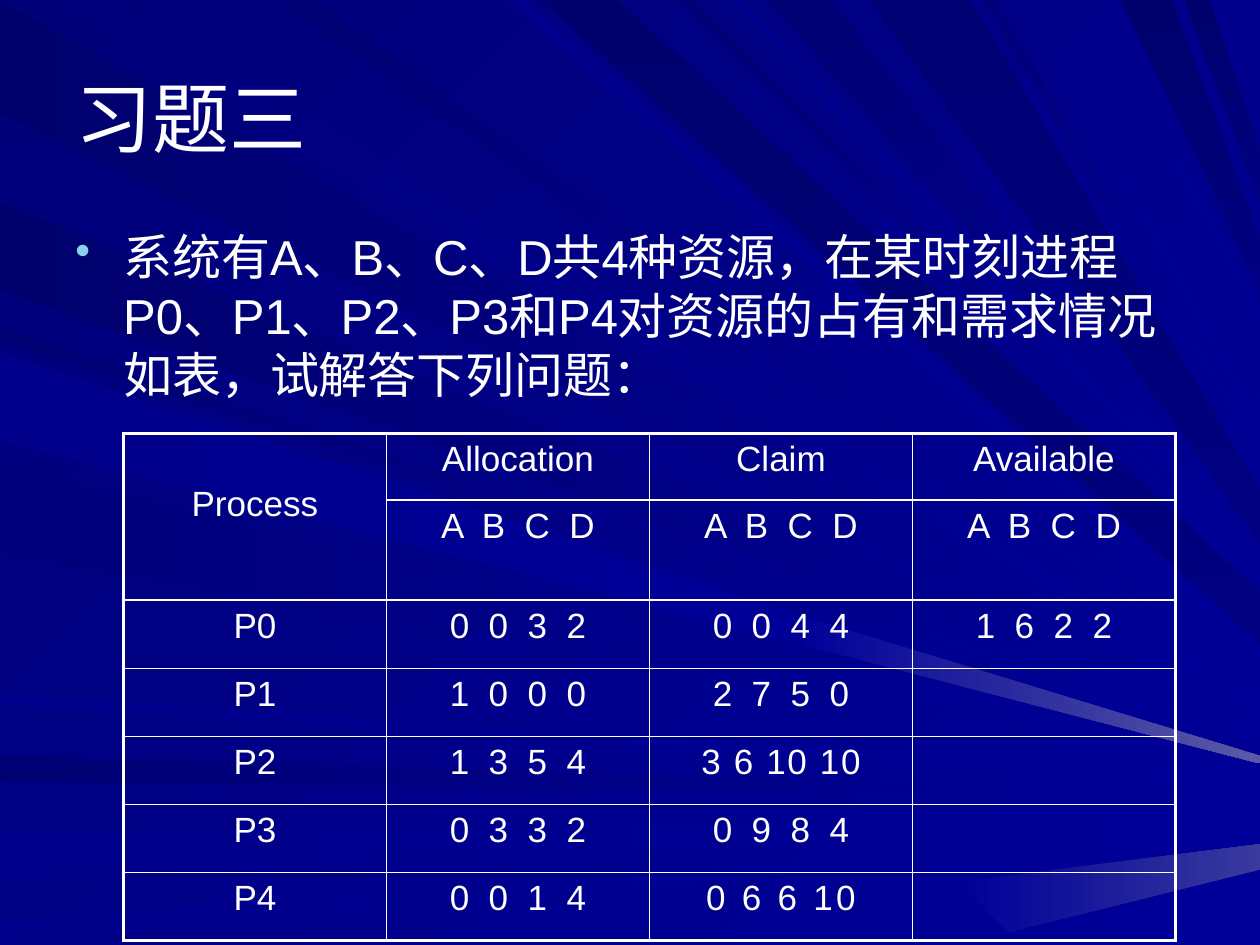
from lxml.etree import SubElement
from pptx import Presentation
from pptx.dml.color import RGBColor as RGB
from pptx.enum.text import MSO_ANCHOR as Anchor, PP_ALIGN as Align
from pptx.oxml import parse_xml
from pptx.oxml.ns import nsdecls, qn
from pptx.util import Inches, Pt

WIDE, HIGH = Inches(10), Inches(7.5)
FONT = "Arial"
WHITE = RGB(255, 255, 255)
SKY = RGB(0x86, 0xD1, 0xEC)
NIGHT, DARK, MID = RGB(0, 0, 0x6C), RGB(0, 0, 0x73), RGB(0, 0, 0x7B)
DEEP, PALE, BASE = RGB(0, 0, 0x80), RGB(0, 0, 0x8A), RGB(0, 0, 0x99)
GLOW, DIM = RGB(0x5A, 0x5A, 0xA6), RGB(0x39, 0x39, 0x9E)

# Beams run from a stretch of one edge to a height on the right edge, in inches
LEFT = [
    (0, 0.9, 5.7, NIGHT), (6, 6.2, 6.3, DARK), (6.6, 7, 6.5, PALE),
    (7.3, 7.5, 6.6, PALE), (2.6, 2.7, 5.9, DARK), (1.6, 2.3, 5.8, NIGHT),
    (2.8, 3.4, 6, MID), (3.7, 4.4, 6, MID), (5.5, 5.6, 6.2, PALE),
]
TOP = [
    (0.3, 1, 5.6, MID), (4, 4.2, 5.2, PALE), (5.4, 5.5, 4.6, DARK),
    (6.1, 6.6, 4.5, DARK), (2.2, 2.5, 5.5, DARK), (5.8, 5.9, 4.5, PALE),
    (7.8, 7.9, 3.6, MID), (8.1, 8.2, 3.4, PALE), (8.6, 8.7, 2.5, PALE),
]
BROAD = [
    (4.3, 4.9, 4.9, NIGHT), (6.9, 7.7, 4.1, DARK),
    (8.9, 9.3, 2.1, NIGHT), (9.4, 9.6, 1.4, NIGHT),
]

TITLE = "习题三"
BODY = ("系统有A、B、C、D共4种资源，在某时刻进程P0、P1、P2、P3和P4"
        "对资源的占有和需求情况如表，试解答下列问题：")
KINDS = "A B C D"
ROWS = [
    ["Process", "Allocation", "Claim", "Available"],
    ["", KINDS, KINDS, KINDS],
    ["P0", "0 0 3 2", "0 0 4 4", "1 6 2 2"],
    ["P1", "1 0 0 0", "2 7 5 0", ""],
    ["P2", "1 3 5 4", "3 6 10 10", ""],
    ["P3", "0 3 3 2", "0 9 8 4", ""],
    ["P4", "0 0 1 4", "0 6 6 10", ""],
]
TALL = [0.53, 0.78] + [0.54] * 5


def shade(fill, start, end, angle):
    """Fill with two tones; the angle turns clockwise."""
    fill.gradient()
    fill.gradient_angle = -angle % 360
    for stop, tone in zip(fill.gradient_stops, (start, end)):
        stop.color.rgb = tone


def style(para, size, align=Align.LEFT):
    para.alignment = align
    font = para.font
    font.name, font.size, font.color.rgb = FONT, Pt(size), WHITE


def add_ray(group, points, start, end, angle):
    spots = [(Inches(x), Inches(y)) for x, y in points]
    pen = group.shapes.build_freeform(*spots[0])
    pen.add_line_segments(spots[1:])
    ray = pen.convert_to_shape()
    ray.shadow.inherit = False
    ray.line.fill.background()
    shade(ray.fill, start, end, angle)


def add_beams(group, beams, edge, spread, end, angle):
    for near, far, aim, tone in beams:
        tip = [(10, aim - spread), (10, aim + spread)]
        add_ray(group, [edge(near), *tip[::1 if edge is on_left else -1], edge(far)]
                if edge is on_left else [edge(far), *tip, edge(near)], tone, end, angle)


def on_left(y):
    return 0, y


def on_top(x):
    return x, 0


def add_rays(slide):
    group = slide.shapes.add_group_shape()
    add_beams(group, LEFT, on_left, 0.02, BASE, 0)
    add_beams(group, TOP, on_top, 0.03, BASE, 45)
    add_beams(group, BROAD, on_top, 0.2, DEEP, 90)
    add_ray(group, [(0, 2.8), (0, 3.5), (6.3, 5.1), (6.4, 4.9)], PALE, BASE, 0)
    add_ray(group, [(6.4, 4.9), (6.3, 5.1), (10, 6.06), (10, 6)], BASE, GLOW, 0)
    add_ray(group, [(7.6, 7), (8, 7.4), (10, 6.9), (10, 6.7)], BASE, DIM, 0)
    slide.shapes._spTree.insert(2, group._element)  # behind the title


def add_title(slide):
    title = slide.shapes.title
    title.left, title.top = int(WIDE * 0.05), int(HIGH * 0.04)
    title.width, title.height = int(WIDE * 0.9), Inches(1.25)
    frame = title.text_frame
    frame.text = TITLE
    frame.vertical_anchor = Anchor.MIDDLE
    style(frame.paragraphs[0], 44)


def add_body(slide):
    box = slide.shapes.add_textbox(int(WIDE * 0.05), Inches(1.75), int(WIDE * 0.9), Inches(1.37))
    frame = box.text_frame
    frame.word_wrap = True
    para = frame.paragraphs[0]
    para.text = BODY
    props = para._p.get_or_add_pPr()
    hang = Inches(0.38)
    props.set("marL", str(hang))
    props.set("indent", str(-hang))
    tone = SubElement(props, qn("a:buClr"))
    SubElement(tone, qn("a:srgbClr"), val=str(SKY))
    SubElement(props, qn("a:buSzPct"), val="90000")
    SubElement(props, qn("a:buChar"), char="•")
    style(para, 28)


def frame_cell(cell, row, col):
    """Draw the cell's borders, thicker along the table's outer edge."""
    outer = {"L": col == 0, "R": col == len(ROWS[0]) - 1,
             "T": row == 0, "B": row == len(ROWS) - 1}
    props = cell._tc.get_or_add_tcPr()
    for place, (side, edge) in enumerate(outer.items()):
        width = Pt(2.25 if edge else 1)
        props.insert(place, parse_xml(
            f'<a:ln{side} {nsdecls("a")} w="{width}"><a:solidFill>'
            f'<a:srgbClr val="{WHITE}"/></a:solidFill></a:ln{side}>'))


def fill_cell(cell, text):
    cell.fill.background()
    para = cell.text_frame.paragraphs[0]
    style(para, 20, Align.CENTER)
    if text:
        run = para.add_run()
        run.text = text
        if " " in text:  # shorter rows of figures are spread wider
            run._r.get_or_add_rPr().set("spc", str(93 * (10 - len(text))))


def add_grid(slide):
    shape = slide.shapes.add_table(len(ROWS), len(ROWS[0]), Inches(0.98), Inches(3.44),
                                   Inches(8.35), Inches(sum(TALL)))
    table = shape.table
    for row, tall in zip(table.rows, TALL):
        row.height = Inches(tall)
    for r, texts in enumerate(ROWS):
        for c, text in enumerate(texts):
            cell = table.cell(r, c)
            fill_cell(cell, text)
            frame_cell(cell, r, c)
    head = table.cell(0, 0)
    head.merge(table.cell(1, 0))
    head.margin_top = Inches(0.41)


def main():
    deck = Presentation()
    deck.slide_width, deck.slide_height = WIDE, HIGH
    slide = deck.slides.add_slide(deck.slide_layouts[5])
    shade(slide.background.fill, RGB(0, 0, 0x78), BASE, 45)
    add_rays(slide)
    add_title(slide)
    add_body(slide)
    add_grid(slide)
    deck.save("out.pptx")


if __name__ == "__main__":
    main()
